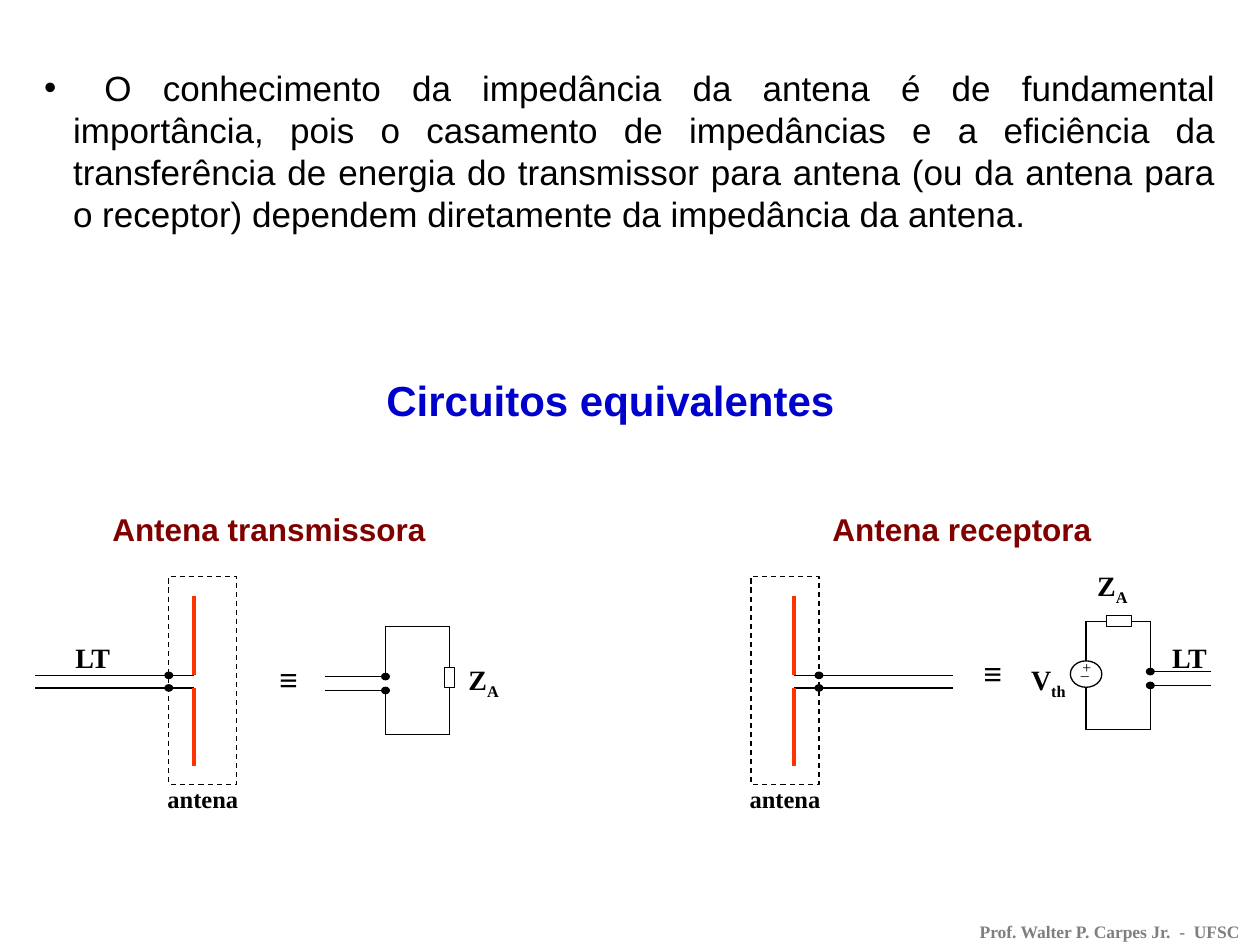
from pptx import Presentation
from pptx.dml.color import RGBColor
from pptx.enum.dml import MSO_LINE
from pptx.enum.shapes import MSO_CONNECTOR, MSO_SHAPE
from pptx.enum.text import MSO_ANCHOR, MSO_AUTO_SIZE, PP_ALIGN
from pptx.oxml.ns import qn
from pptx.util import Inches, Pt
from lxml import etree

LEFT, MID, JUST = PP_ALIGN.LEFT, PP_ALIGN.CENTER, PP_ALIGN.JUSTIFY
RECT, OVAL = MSO_SHAPE.RECTANGLE, MSO_SHAPE.OVAL
HEX = dict(ink="000000", paper="FFFFFF", rod="FF3300", title="0000CC",
           head="800000", foot="7F7F7F")
SANS, SERIF = "Arial", "Times New Roman"

# Content
BODY = (" O conhecimento da impedância da antena é de fundamental importância, "
        "pois o casamento de impedâncias e a eficiência da transferência de "
        "energia do transmissor para antena (ou da antena para o receptor) "
        "dependem diretamente da impedância da antena.")
TITLE = "Circuitos equivalentes"
HEADS = [("Antena transmissora", 0.51), ("Antena receptora", 6.01)]
FOOT = "Prof. Walter P. Carpes Jr.  -  UFSC"
# Rod position and the side its feed line leaves on
RODS = [(1.54, -1), (6.3, 1)]
# Terminal x, top and the side the loop lies on
LOOPS = [(3.06, 4.97, 1), (9.13, 4.93, -1)]
# Text, subscript, box, format
LABELS = [
    ("LT", "", (0.34, 5.07, 0.79, 0.35), {}),
    ("LT", "", (9.05, 5.07, 0.78, 0.35), {}),
    ("Z", "A", (3.62, 5.25, 0.7, 0.35), dict(align=LEFT)),
    ("Z", "A", (8.61, 4.5, 0.7, 0.35), dict(align=LEFT)),
    ("V", "th", (7.93, 5.25, 0.78, 0.35), {}),
    ("≡", "", (1.94, 5.23, 0.7, 0.35), dict(size=18, face=SANS, bold=False)),
    ("≡", "", (7.53, 5.18, 0.7, 0.35), dict(size=18, face=SANS, bold=False)),
    ("+", "", (8.43, 5.21, 0.39, 0.21), dict(size=9, bold=False)),
    ("_", "", (8.37, 5.23, 0.48, 0.26), dict(size=9, bold=False)),
]

prs = Presentation()
prs.slide_width, prs.slide_height = Inches(10), Inches(7.5)
slide = prs.slides.add_slide(prs.slide_layouts[1])
shapes = slide.shapes


def color(name):
    return RGBColor.from_string(HEX[name])


def write(text, box, sub="", size=16, face=SERIF, hue="ink", bold=True,
          align=MID, pad=0.01, bullet=False, holder=None):
    """Put text in a new box, or in a given placeholder moved to the box."""
    x, y, w, h = map(Inches, box)
    shape = holder or shapes.add_textbox(x, y, w, h)
    shape.left, shape.top, shape.width, shape.height = x, y, w, h
    frame = shape.text_frame
    frame.word_wrap = True
    frame.auto_size = MSO_AUTO_SIZE.NONE
    frame.vertical_anchor = MSO_ANCHOR.TOP
    frame.margin_left = frame.margin_right = Inches(0.1)
    frame.margin_top = frame.margin_bottom = Inches(pad)
    para = frame.paragraphs[0]
    para.alignment = align
    para.space_before = Pt(0)
    if bullet:
        props = para._p.get_or_add_pPr()
        props.set("marL", str(Inches(0.23)))
        props.set("indent", str(-Inches(0.23)))
        etree.SubElement(props, qn("a:buChar")).set("char", "•")
    for part in filter(None, (text, sub)):
        run = para.add_run()
        run.text = part
        font = run.font
        font.size, font.name, font.bold = Pt(size), face, bold
        font.color.rgb = color(hue)
    if sub:
        run._r.get_or_add_rPr().set("baseline", "-25000")


def wire(x1, y1, x2, y2, hue="ink", width=0.75):
    line = shapes.add_connector(MSO_CONNECTOR.STRAIGHT,
                                *map(Inches, (x1, y1, x2, y2)))
    line.line.color.rgb = color(hue)
    line.line.width = Pt(width)
    etree.SubElement(line._element.spPr, qn("a:effectLst"))


def part(kind, x, y, w, h, fill="paper", dash=False):
    """Draw a preset shape centred on x, y."""
    shape = shapes.add_shape(kind, *map(Inches, (x - w / 2, y - h / 2, w, h)))
    shape.shadow.inherit = False
    if fill:
        shape.fill.solid()
        shape.fill.fore_color.rgb = color(fill)
    else:
        shape.fill.background()
    shape.line.color.rgb = color("ink")
    shape.line.width = Pt(0.75)
    if dash:
        shape.line.dash_style = MSO_LINE.DASH


def dot(x, y):
    part(OVAL, x, y, 0.06, 0.05, fill="ink")


def dipole(x, side):
    """Two rods, their feed line and the dashed frame."""
    for feed, tip in ((5.36, 4.73), (5.46, 6.08)):
        wire(x, feed, x + side * 1.26, feed)
        wire(x, feed, x, tip, hue="rod", width=2.25)
        dot(x + side * 0.2, feed)
    mid = x - side * 0.07
    part(RECT, mid, 5.4, 0.54, 1.65, fill=None, dash=True)
    write("antena", (mid - 0.39, 6.21, 0.78, 0.35), size=14)


def loop(x, top, side):
    """Open loop with two terminals and their leads."""
    far, base = x + side * 0.51, top + 0.86
    for lead, edge in ((top + 0.4, top), (top + 0.51, base)):
        wire(x - side * 0.48, lead, x, lead)
        wire(x, lead, x, edge)
        wire(x, edge, far, edge)
        dot(x, lead)
    wire(far, top, far, base)


# Title and body
write(TITLE, (2.76, 2.92, 4.17, 0.5), size=24, face=SANS, hue="title",
      pad=0.05, holder=shapes.title)
write(BODY, (0.25, 0.48, 9.5, 1.44), size=20, face=SANS, bold=False,
      align=JUST, pad=0.05, bullet=True, holder=slide.placeholders[1])
for text, x in HEADS:
    write(text, (x, 4, 3.25, 0.4), size=18, face=SANS, hue="head", pad=0.05)

# Antennas and their circuits
for rod in RODS:
    dipole(*rod)
for spec in LOOPS:
    loop(*spec)
part(RECT, 3.57, 5.38, 0.08, 0.16)
part(RECT, 8.88, 4.93, 0.2, 0.09)
part(OVAL, 8.62, 5.35, 0.25, 0.21)

# Labels and footer
for text, sub, box, form in LABELS:
    write(text, box, sub=sub, **form)
write(FOOT, (7.26, 7.26, 3.09, 0.27), size=10, hue="foot", pad=0.05)

prs.save("out.pptx")
